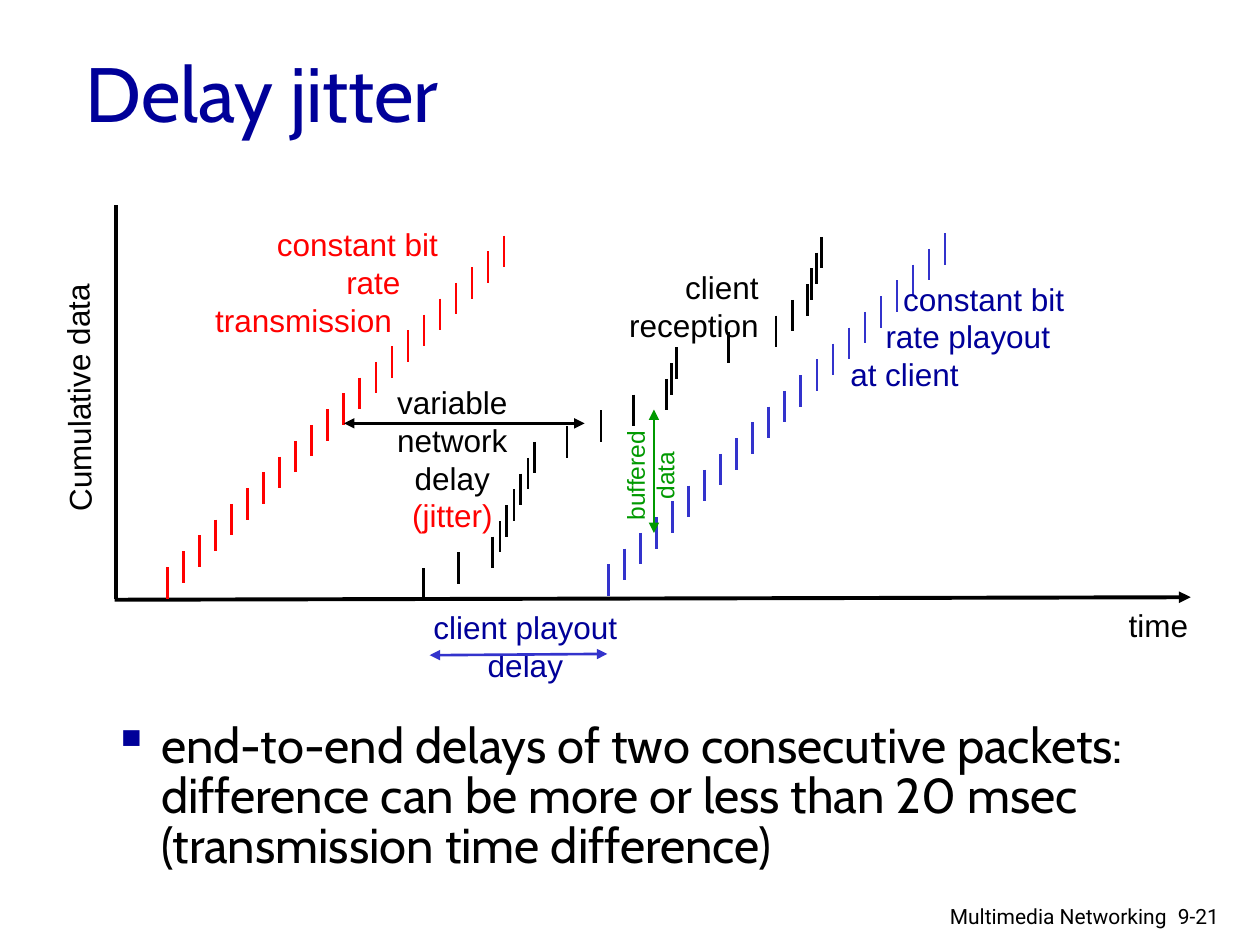
from lxml import etree
from pptx import Presentation
from pptx.dml.color import RGBColor
from pptx.enum import shapes, text
from pptx.oxml import ns
from pptx.util import Inches, Pt

BLACK, RED, NAVY, BLUE, GREEN = "000000", "FF0000", "000099", "3333CC", "009900"
LEFT, MID, RIGHT = text.PP_ALIGN.LEFT, text.PP_ALIGN.CENTER, text.PP_ALIGN.RIGHT

deck = Presentation()
deck.slide_width, deck.slide_height = Inches(10), Inches(7.5)
slide = deck.slides.add_slide(deck.slide_layouts[6])


def line(x1, y1, x2, y2, color, width=1.5, ends=()):
    link = slide.shapes.add_connector(
        shapes.MSO_CONNECTOR.STRAIGHT, Inches(x1), Inches(y1), Inches(x2), Inches(y2))
    link.line.color.rgb = RGBColor.from_string(color)
    link.line.width = Pt(width)
    props = link._element.spPr
    for end in ends:
        etree.SubElement(props.find(ns.qn("a:ln")), ns.qn(f"a:{end}"), type="triangle")
    etree.SubElement(props, ns.qn("a:effectLst"))


def label(x, y, w, h, words, color, size=18, font="Arial", align=LEFT, turn=0, indents=()):
    box = slide.shapes.add_textbox(Inches(x), Inches(y), Inches(w), Inches(h))
    box.rotation = turn
    frame = box.text_frame
    frame.word_wrap = True
    frame.text = words
    for para in frame.paragraphs:
        para.alignment = align
        for run in para.runs:
            run.font.size, run.font.name = Pt(size), font
            run.font.color.rgb = RGBColor.from_string(color)
    for para, indent in zip(frame.paragraphs, indents):
        para._p.get_or_add_pPr().set("marL", str(Inches(indent)))
    return frame


both = ("headEnd", "tailEnd")
line(0.92, 1.63, 0.92, 4.75, BLACK, 2.25)
line(9.45, 4.74, 0.91, 4.76, BLACK, 2.25, ["headEnd"])
label(-0.45, 2.89, 2.14, 0.4, "Cumulative data", BLACK, turn=269.4)
label(8.86, 4.76, 0.7, 0.4, "time", BLACK)

count, tall = 22, 0.25
dx, dy = 2.67 / (count - 1), 2.63 / (count - 1)
sent = [1.33 + i * dx for i in range(count)]
got = [3.36, 3.64, 3.91, 3.97, 4.02, 4.08, 4.13, 4.19, 4.24, 4.5, 4.77,
       5.03, 5.29, 5.33, 5.37, 5.78, 6.16, 6.29, 6.41, 6.44, 6.48, 6.52]
played = [4.83 + i * dx for i in range(count)]
for ticks, base, color in [(sent, 4.5, RED), (got, 4.51, BLACK), (played, 4.48, BLUE)]:
    for i, x in enumerate(ticks):
        y = base - i * dy
        line(x, y, x, y + tall, color)

label(1.61, 1.74, 2.04, 1.01, "constant bit\nrate\ntransmission", RED, indents=[0.49, 1.04, 0])
delay = label(3.04, 2.99, 1.1, 1.31, "variable\nnetwork\ndelay\n(jitter)", BLACK, align=MID)
delay.paragraphs[3].runs[0].font.color.rgb = RGBColor.from_string(RED)
line(2.73, 3.36, 4.64, 3.36, BLACK, ends=both)
label(4.88, 2.08, 1.24, 0.71, "client\nreception", BLACK, align=RIGHT)
label(6.58, 2.17, 2.04, 1.01, "constant bit\nrate playout\nat client", NAVY,
      indents=[0.49, 0.35, 0.07])
label(3.25, 4.78, 1.84, 0.7, "client playout\ndelay", NAVY, align=MID)
line(3.41, 5.2, 4.82, 5.19, BLUE, ends=both)
line(5.19, 4.23, 5.19, 3.25, GREEN, ends=both)
label(4.68, 3.49, 0.96, 0.57, "buffered\ndata", GREEN, 14, align=MID, turn=270)

title = label(0.58, 0.25, 8.93, 0.95, "Delay jitter", NAVY, 44, "Cabin")
title.vertical_anchor = text.MSO_ANCHOR.MIDDLE
body = label(0.8, 5.69, 8.5, 0.97,
             "end-to-end delays of two consecutive packets: difference can be more or "
             "less than 20 msec (transmission time difference)",
             BLACK, 28, "Cabin", indents=[0.38])
point = body.paragraphs[0]
point.line_spacing = 0.85
props = point._p.get_or_add_pPr()
props.set("indent", str(Inches(-0.38)))
tint = etree.SubElement(props, ns.qn("a:buClr"))
etree.SubElement(tint, ns.qn("a:srgbClr"), val=NAVY)
etree.SubElement(props, ns.qn("a:buChar"), char="▪")

label(9.25, 7.12, 0.75, 0.3, "9-21", BLACK, 12, "Roboto")
label(7.2, 7.12, 2.16, 0.28, "Multimedia Networking", BLACK, 12, "Roboto", RIGHT)

deck.save("out.pptx")
